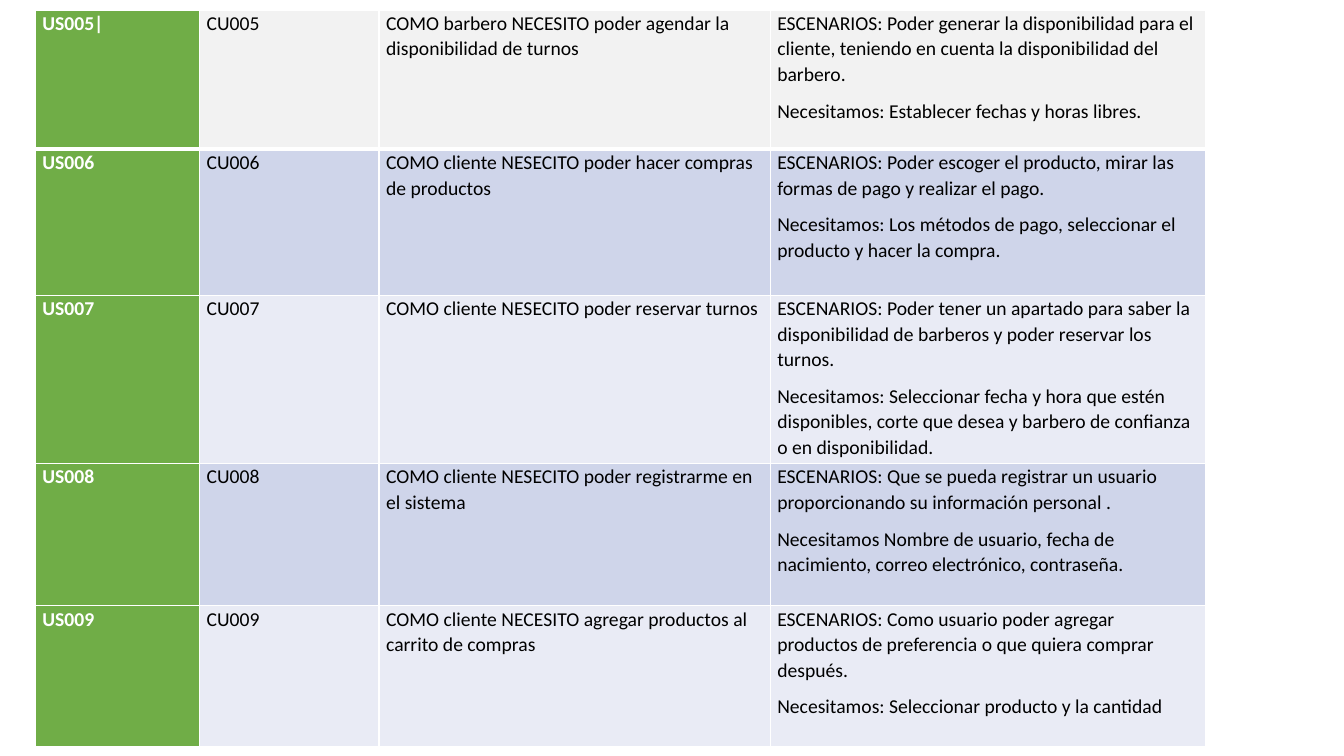
from dataclasses import dataclass

import pptx
import pptx.dml.color
import pptx.oxml
import pptx.oxml.ns
import pptx.util

Inches = pptx.util.Inches
Pt = pptx.util.Pt

WHITE, BLACK, GREEN = "FFFFFF", "000000", "70AD47"
HEADER_FILL, BAND_FILLS = "F2F2F2", ("E9EBF5", "CFD5EA")
COL_WIDTHS = (1.63, 1.78, 3.88, 4.32)
THIN, THICK = 1, 3


@dataclass
class Story:
    number: str
    need: str
    scenario: str
    requirement: str
    height: float
    suffix: str = ""


STORIES = [
    Story("005", "COMO barbero NECESITO poder agendar la disponibilidad de turnos",
          "ESCENARIOS: Poder generar la disponibilidad para el cliente, "
          "teniendo en cuenta la disponibilidad del barbero.",
          "Necesitamos: Establecer fechas y horas libres.", 1.38, suffix="|"),
    Story("006", "COMO cliente NESECITO poder hacer compras de productos",
          "ESCENARIOS: Poder escoger el producto, mirar las formas de pago "
          "y realizar el pago.",
          "Necesitamos: Los métodos de pago, seleccionar el producto "
          "y hacer la compra.", 1.45),
    Story("007", "COMO cliente NESECITO poder reservar turnos",
          "ESCENARIOS: Poder tener un apartado para saber la disponibilidad "
          "de barberos y poder reservar los turnos.",
          "Necesitamos: Seleccionar fecha y hora que estén disponibles, "
          "corte que desea y barbero de confianza o en disponibilidad.", 1.67),
    Story("008", "COMO cliente NESECITO poder registrarme en el sistema",
          "ESCENARIOS: Que se pueda registrar un usuario proporcionando "
          "su información personal .",
          "Necesitamos Nombre de usuario, fecha de nacimiento, "
          "correo electrónico, contraseña.", 1.41),
    Story("009", "COMO cliente NECESITO agregar productos al carrito de compras",
          "ESCENARIOS: Como usuario poder agregar productos de preferencia "
          "o que quiera comprar después.",
          "Necesitamos: Seleccionar producto y la cantidad", 1.4),
]


def rgb(value: str) -> pptx.dml.color.RGBColor:
    return pptx.dml.color.RGBColor.from_string(value)


def add_text(p, text: str, *, size: float = 14, color: str = BLACK,
             bold: bool = False) -> None:
    p.line_spacing = 1.07
    p.space_after = Pt(8)
    r = p.add_run()
    r.text = text
    r.font.name = "Calibri"
    r.font.size = Pt(size)
    r.font.bold = bold
    r.font.color.rgb = rgb(color)


def set_borders(cell, top: float, bottom: float) -> None:
    tc_pr = cell._tc.get_or_add_tcPr()
    for side, width in zip("LRTB", (THIN, THIN, top, bottom)):
        tc_pr.append(pptx.oxml.parse_xml(
            f'<a:ln{side} {pptx.oxml.ns.nsdecls("a")} w="{Pt(width)}">'
            f'<a:solidFill><a:srgbClr val="{WHITE}"/></a:solidFill></a:ln{side}>'))


def fill_cell(cell, texts: list[str], fill: str, **text_format) -> None:
    cell.margin_left = cell.margin_right = Inches(0.07)
    cell.margin_top = cell.margin_bottom = 0
    cell.fill.solid()
    cell.fill.fore_color.rgb = rgb(fill)
    tf = cell.text_frame
    for i, text in enumerate(texts):
        add_text(tf.add_paragraph() if i else tf.paragraphs[0], text, **text_format)


def add_story_table(slide, stories: list[Story]) -> None:
    sp = slide.shapes.add_table(
        len(stories), len(COL_WIDTHS), Inches(0.35), Inches(0.1),
        Inches(sum(COL_WIDTHS)), Inches(sum(s.height for s in stories)))
    table = sp.table
    for column, width in zip(table.columns, COL_WIDTHS):
        column.width = Inches(width)

    for i, story in enumerate(stories):
        row = table.rows[i]
        row.height = Inches(story.height)
        # The first row is set off by a thick rule
        for cell in row.cells:
            set_borders(cell, top=THICK if i == 1 else THIN,
                        bottom=THICK if i == 0 else THIN)
        # Green story code, then the banded columns
        code, *details = row.cells
        fill_cell(code, [f"US{story.number}{story.suffix}"], GREEN,
                  color=WHITE, bold=True)
        band = BAND_FILLS[i % 2 == 1] if i else HEADER_FILL
        contents = ([f"CU{story.number}"], [story.need],
                    [story.scenario, story.requirement])
        for cell, texts in zip(details, contents):
            fill_cell(cell, texts, band)


def main() -> None:
    prs = pptx.Presentation()
    prs.slide_width, prs.slide_height = Inches(13.33), Inches(7.5)
    slide = prs.slides.add_slide(prs.slide_layouts[6])
    add_story_table(slide, STORIES)
    prs.save("out.pptx")


if __name__ == "__main__":
    main()
